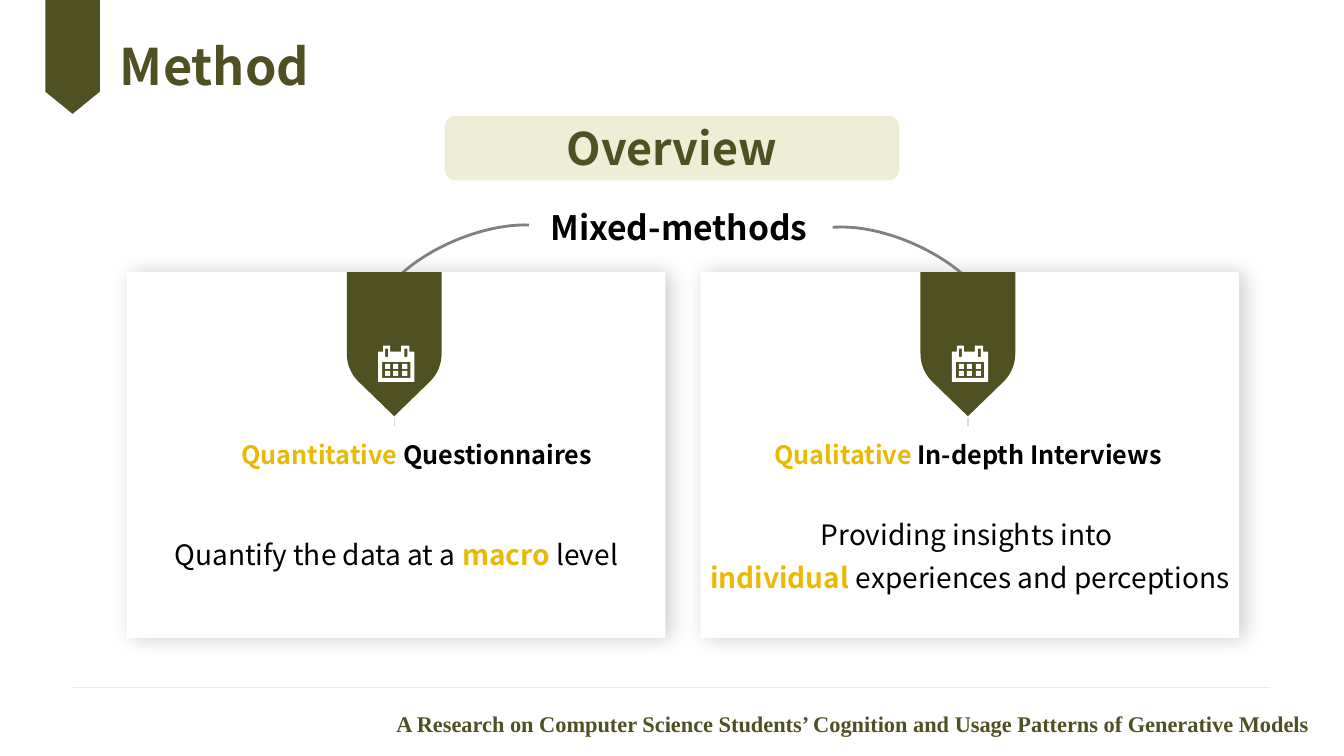
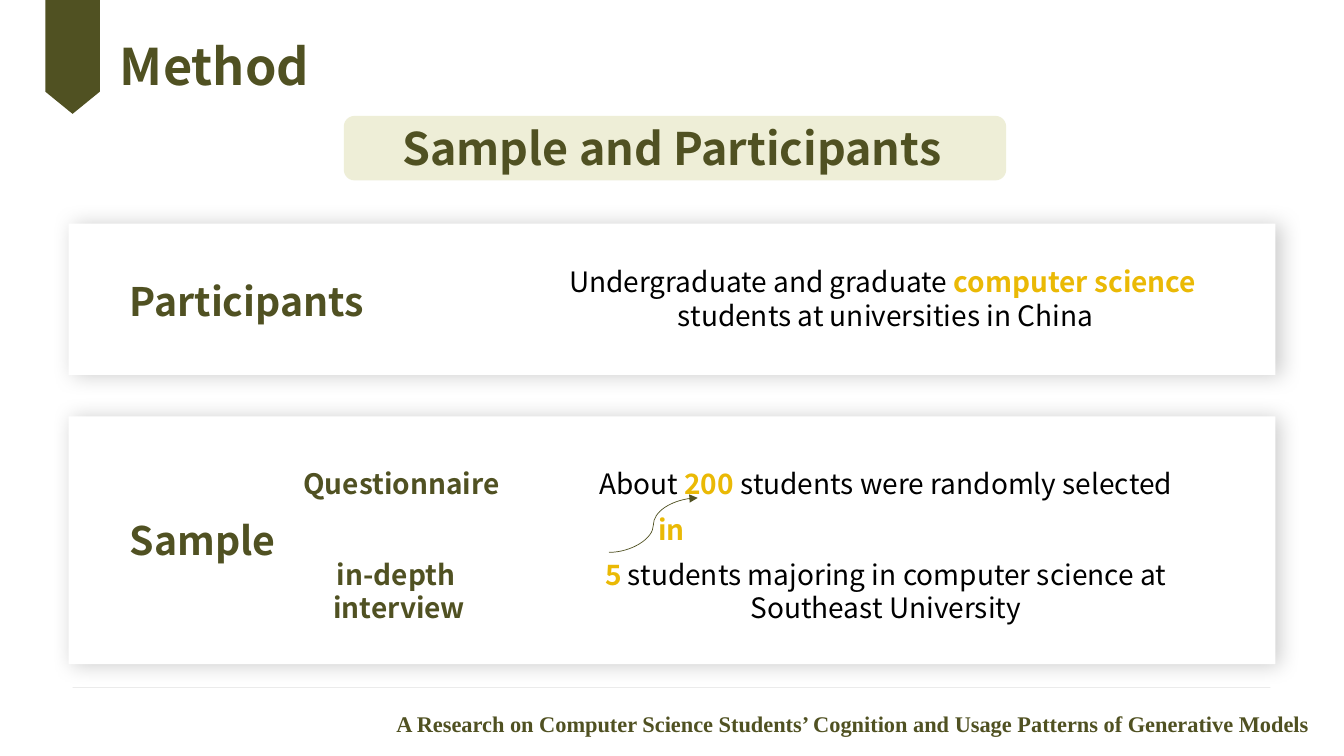
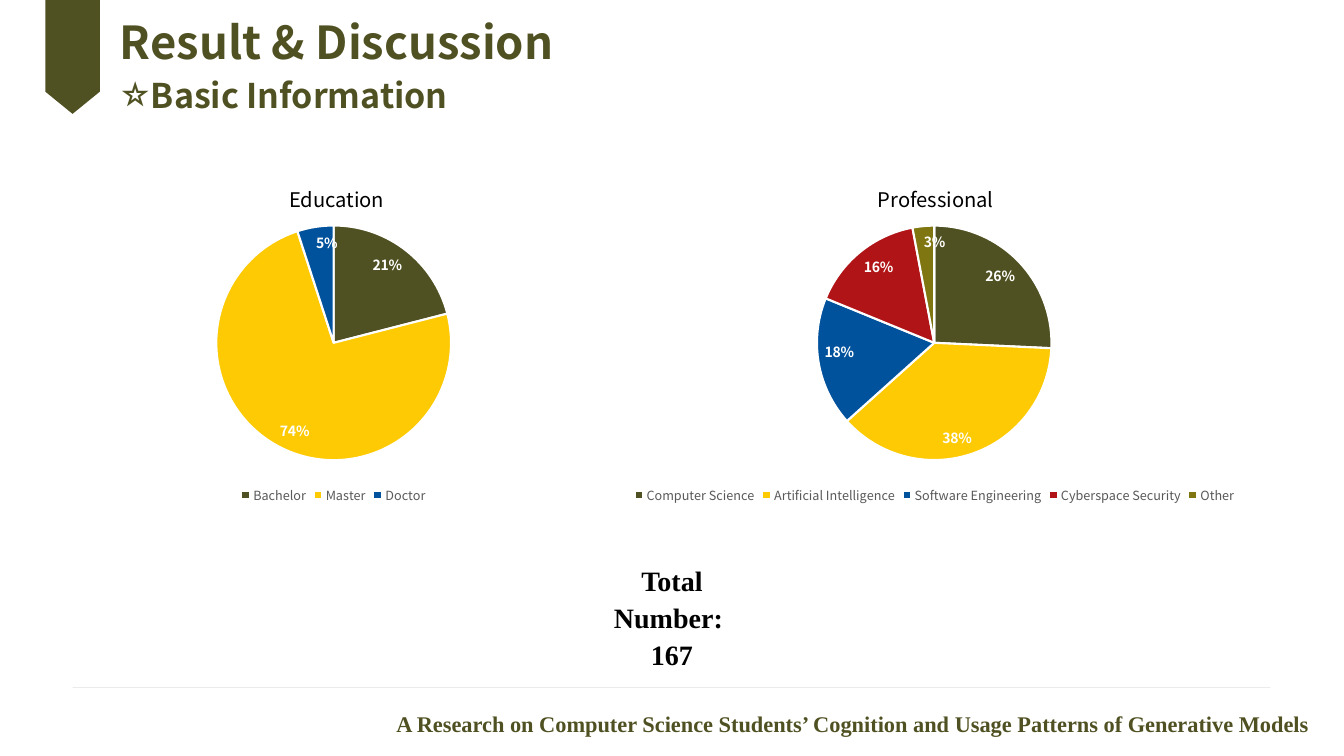
"""Build three slides on the method and results of a student survey."""
from lxml import etree
from pptx import Presentation
from pptx import util as u
from pptx.chart import data
from pptx.dml import color
from pptx.enum import chart as ch, shapes, text
from pptx.oxml import ns, parse_xml

HUES = dict(olive="505122", gold="EAB905", pale="E7E8C7", white="FFFFFF", black="000000",
            grey="808080", light="D9D9D9", rule="BFBFBF", dim="595959")
SLICES = ["505122", "FDCA04", "00529D", "B01417", "7F7611"]
SANS, SERIF = "Noto Sans CJK SC", "Times New Roman"
ALIGN = dict(l=text.PP_ALIGN.LEFT, c=text.PP_ALIGN.CENTER, r=text.PP_ALIGN.RIGHT)
ANCHOR = dict(t=text.MSO_ANCHOR.TOP, m=text.MSO_ANCHOR.MIDDLE, b=text.MSO_ANCHOR.BOTTOM)
FOOT = "A Research on Computer Science Students’ Cognition and Usage Patterns of Generative Models"


def rgb(hue):
    return color.RGBColor.from_string(HUES.get(hue, hue))


def ink(run, words, size=20, hue="black", bold=False, font=SANS):
    run.text = words
    run.font.size, run.font.bold, run.font.name = u.Pt(size), bold, font
    run.font.color.rgb = rgb(hue)


def write(frame, lines, align="l", anchor="t", gap=1.0, wrap=True, **style):
    """Fill a frame with lines, where words between asterisks are bold and gold."""
    frame.word_wrap, frame.vertical_anchor = wrap, ANCHOR[anchor]
    for i, line in enumerate(lines):
        para = frame.add_paragraph() if i else frame.paragraphs[0]
        para.alignment, para.line_spacing = ALIGN[align], gap
        for j, part in enumerate(line.split("*")):
            if part:
                accent = dict(hue="gold", bold=True) if j % 2 else {}
                ink(para.add_run(), part, **{**style, **accent})


def fade(shape, share):
    for node in shape.element.spPr.iter(ns.qn("a:srgbClr")):
        etree.SubElement(node, ns.qn("a:alpha"), val=str(share * 1000))


def curve(a, b, c, d, steps=8):
    """Return points along a cubic curve."""
    ts = [i / steps for i in range(steps + 1)]
    return [tuple((1 - t) ** 3 * p + 3 * t * (1 - t) ** 2 * q + 3 * t * t * (1 - t) * r + t ** 3 * s
                  for p, q, r, s in zip(a, b, c, d)) for t in ts]


def box(x, y, w, h):
    return [(x, y), (x + w, y), (x + w, y + h), (x, y + h)]


def place(node, spot, inner=False, **sides):
    """Give a chart part a manual layout."""
    for old in node.findall(ns.qn("c:layout")):
        node.remove(old)
    target = '<c:layoutTarget val="inner"/>' if inner else ""
    modes = '<c:xMode val="edge"/><c:yMode val="edge"/>'
    vals = "".join(f'<c:{k} val="{v:.3f}"/>' for k, v in sides.items())
    node.insert(spot, parse_xml(f'<c:layout {ns.nsdecls("c")}><c:manualLayout>{target}{modes}{vals}'
                                '</c:manualLayout></c:layout>'))


class Deck:
    """Hold the shared style and the current slide."""

    def __init__(self):
        self.show = Presentation()
        self.show.slide_width, self.show.slide_height = u.Inches(13.33), u.Inches(7.5)

    def start(self, title, size=36, sub=None):
        self.slide = self.show.slides.add_slide(self.show.slide_layouts[5])
        self.tree = self.slide.shapes
        self.line((0.72, 6.82), (12.6, 6.82), "rule", 0.25, share=47)
        self.outline(0, 0, [[(0.45, 0), (0.99, 0), (0.99, 0.91), (0.72, 1.13), (0.45, 0.91)]], "olive")
        head = self.tree.title
        head.left, head.top, head.width, head.height = map(u.Inches, (1.19, 0.26, 8.93, 0.86))
        frame = head.text_frame
        frame.auto_size = text.MSO_AUTO_SIZE.NONE
        frame.margin_left = frame.margin_right = frame.margin_top = frame.margin_bottom = 0
        look = dict(hue="olive", bold=True)
        write(frame, [title], anchor="m", gap=0.9, size=size, **look)
        if sub:
            para = frame.add_paragraph()
            para.alignment, para.line_spacing = ALIGN["l"], 0.9
            ink(para.add_run(), "⭐", size, **look)
            ink(para.add_run(), sub, size * 0.75, **look)
        self.note((3.24, 7, 9.84, 0.37), FOOT, align="r", size=16, font=SERIF, **look)

    def note(self, at, *lines, **style):
        write(self.tree.add_textbox(*map(u.Inches, at)).text_frame, lines, **style)

    def shape(self, kind, at, fill):
        form = self.tree.add_shape(kind, *map(u.Inches, at))
        self.paint(form, fill)
        return form

    def paint(self, form, fill):
        form.shadow.inherit = False
        form.line.fill.background()
        if fill:
            form.fill.solid()
            form.fill.fore_color.rgb = rgb(fill)
        else:
            form.fill.background()

    def outline(self, x, y, rings, fill):
        rings = [[(u.Inches(x + a), u.Inches(y + b)) for a, b in ring] for ring in rings]
        pen = self.tree.build_freeform(*rings[0][0])
        for i, ring in enumerate(rings):
            if i:
                pen.move_to(*ring[0])
            pen.add_line_segments(ring[1:], close=True)
        self.paint(pen.convert_to_shape(), fill)

    def line(self, start, end, hue, width, kind="STRAIGHT", share=None, arrow=False):
        link = self.tree.add_connector(shapes.MSO_CONNECTOR[kind], *map(u.Inches, start + end))
        link.line.color.rgb, link.line.width = rgb(hue), u.Pt(width)
        if share:
            fade(link, share)
        if arrow:
            etree.SubElement(link.element.spPr.find(ns.qn("a:ln")), ns.qn("a:tailEnd"), type="triangle")
        etree.SubElement(link.element.spPr, ns.qn("a:effectLst"))

    def arc(self, left, top, turn):
        bow = self.shape(shapes.MSO_SHAPE.ARC, (left, top, 2.14, 1.05), None)
        bow.adjustments[0], bow.adjustments[1] = 122.61, 198.97
        bow.rotation = turn
        bow.line.color.rgb, bow.line.width = rgb("grey"), u.Pt(2)

    def card(self, *at):
        form = self.shape(shapes.MSO_SHAPE.RECTANGLE, at, "white")
        glow = etree.SubElement(form.element.spPr.find(ns.qn("a:effectLst")), ns.qn("a:outerShdw"),
                                blurRad=str(u.Pt(15)), dist=str(u.Pt(3)), dir="0", algn="ctr",
                                rotWithShape="0")
        tone = etree.SubElement(glow, ns.qn("a:srgbClr"), val=HUES["black"])
        etree.SubElement(tone, ns.qn("a:alpha"), val="20000")

    def banner(self, words, left, width):
        fade(self.shape(shapes.MSO_SHAPE.ROUNDED_RECTANGLE, (left, 1.15, width, 0.64), "pale"), 70)
        self.note((0, 1.15, 13.33, 0.64), words, align="c", size=32, hue="olive", bold=True)

    def badge(self, mid, top):
        side = [(0.47, 0)] + curve((0.47, 0.81), (0.47, 0.91), (0.43, 1.01), (0.36, 1.08))
        self.outline(mid, top, [side + [(0, 1.43)] + [(-x, y) for x, y in side[::-1]]], "olive")
        body = [(0, 0.06), (0.05, 0.06), (0.05, 0), (0.12, 0), (0.12, 0.06), (0.23, 0.06), (0.23, 0),
                (0.31, 0), (0.31, 0.06), (0.36, 0.06), (0.36, 0.36), (0, 0.36)]
        slots = [box(x, 0.03, 0.03, 0.08) for x in (0.07, 0.26)]
        cells = [box(x, y, 0.05, 0.05) for x in (0.07, 0.15, 0.24) for y in (0.18, 0.25)]
        self.outline(mid - 0.16, top + 0.73, [body, box(0.04, 0.16, 0.28, 0.16)] + slots + cells, "white")
        self.line((mid, top + 1.45), (mid, top + 1.53), "light", 1)

    def pie(self, left, width, title, names, vals):
        top, high, size = 1.58, 3.46, 2.33
        facts = data.CategoryChartData()
        facts.categories = names
        facts.add_series("Series 1", vals)
        chart = self.tree.add_chart(ch.XL_CHART_TYPE.PIE, *map(u.Inches, (left, top, width, high)),
                                    facts).chart
        chart.font.name, chart.font.size = SANS, u.Pt(10)
        chart.has_title = chart.has_legend = True
        write(chart.chart_title.text_frame, [title], align="c", size=14.4)
        place(chart.chart_title.element, 1, x=0.42, y=0.055)
        place(next(chart.element.iter(ns.qn("c:plotArea"))), 0, inner=True,
              x=(1 - size / width) / 2, y=0.19, w=size / width, h=size / high)
        key = chart.legend
        key.position, key.include_in_layout = ch.XL_LEGEND_POSITION.BOTTOM, False
        key.font.size, key.font.name, key.font.color.rgb = u.Pt(9), SANS, rgb("dim")
        plot = chart.plots[0]
        plot.vary_by_categories = True
        for i in range(len(vals)):
            form = plot.series[0].points[i].format
            form.fill.solid()
            form.fill.fore_color.rgb = rgb(SLICES[i])
            form.line.color.rgb, form.line.width = rgb("white"), u.Pt(1.5)
        plot.has_data_labels = True
        tags = plot.data_labels
        tags.show_percentage, tags.show_value = True, False
        tags.number_format, tags.number_format_is_linked = "0%", False
        tags.position = ch.XL_LABEL_POSITION.INSIDE_END
        tags.font.size, tags.font.bold, tags.font.name = u.Pt(10), True, SANS
        tags.font.color.rgb = rgb("white")


def method(deck):
    deck.start("Method")
    for left in (1.26, 6.95):
        deck.card(left, 2.7, 5.34, 3.63)
    deck.banner("Overview", 4.41, 4.51)
    deck.arc(7.77, 2.37, 23.4)
    deck.arc(3.66, 2.34, 337.6)
    deck.note((5.27, 1.74, 2.93, 0.91), "Mixed-methods", align="c", anchor="m", gap=1.3, size=24, bold=True)
    label = dict(anchor="b", gap=1.5, size=18, bold=True)
    deck.note((1.84, 4.23, 4.13, 0.48), "*Quantitative *Questionnaires", align="r", **label)
    deck.note((7.58, 4.23, 4.24, 0.48), "*Qualitative *In-depth Interviews", **label)
    deck.note((1.44, 5.18, 4.98, 0.64), "Quantify the data at a *macro *level", align="c", gap=1.3)
    deck.note((6.79, 4.98, 5.66, 0.91), "Providing insights into ",
              "*individual *experiences and perceptions", align="c", gap=1.3)
    for mid in (3.91, 9.6):
        deck.badge(mid, 2.7)


def sample(deck):
    deck.start("Method")
    deck.banner("Sample and Participants", 3.41, 6.57)
    for top, high in ((2.22, 1.5), (4.13, 2.46)):
        deck.card(0.68, top, 11.97, high)
    bold = dict(hue="olive", bold=True)
    for top, width, words in ((2.7, 2.66, "Participants"), (5.07, 1.66, "Sample")):
        deck.note((1.19, top, width, 0.57), words, size=28, wrap=False, **bold)
    deck.note((2.91, 4.58, 2.19, 0.44), "Questionnaire", wrap=False, **bold)
    deck.note((3.09, 5.48, 1.74, 0.77), "in-depth ", "interview", align="c", **bold)
    deck.note((6.43, 5.04, 0.47, 0.44), "*in*", wrap=False)
    facts = [(2.58, 0.77, ["Undergraduate and graduate *computer science *",
                           "students at universities in China"]),
             (4.58, 0.44, ["About *200 *students were randomly selected"]),
             (5.48, 0.77, ["*5 *students majoring in computer science at Southeast University"])]
    for top, high, lines in facts:
        deck.note((5.39, top, 6.79, high), *lines, align="c")
    deck.line((6.04, 5.48), (6.92, 4.94), "olive", 0.5, kind="CURVE", arrow=True)


def result(deck):
    deck.start("Result & Discussion", 32.4, "Basic Information")
    deck.note((5.7, 5.51, 1.93, 0.84), "Total Number: ", "167", align="c", gap=1.1, bold=True, font=SERIF)
    deck.pie(0.32, 5.98, "Education", ["Bachelor", "Master", "Doctor"], [21, 74, 5])
    deck.pie(5.53, 7.48, "Professional",
             ["Computer Science", "Artificial Intelligence", "Software Engineering",
              "Cyberspace Security", "Other"], [26, 38, 18, 16, 3])


def main():
    deck = Deck()
    for build in (method, sample, result):
        build(deck)
    deck.show.save("out.pptx")


if __name__ == "__main__":
    main()
